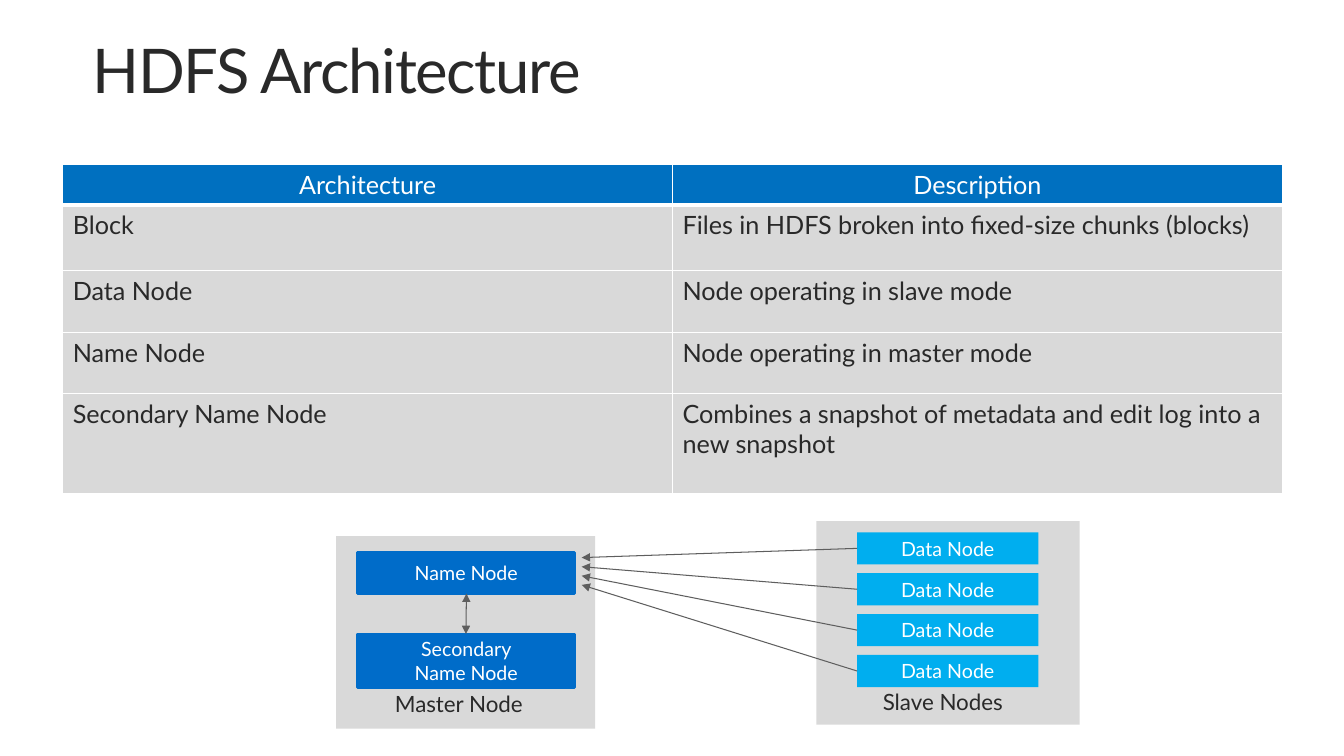
from lxml import etree
from pptx import Presentation
from pptx.dml.color import RGBColor
from pptx.enum import shapes, text
from pptx.oxml import ns
from pptx.util import Pt

WHITE = RGBColor(0xFF, 0xFF, 0xFF)
INK = RGBColor(0x29, 0x29, 0x29)
GREY = RGBColor(0xD9, 0xD9, 0xD9)
ARROW = RGBColor(0x5E, 0x5E, 0x5E)
HEADER = RGBColor(0x00, 0x70, 0xC0)
MASTER = RGBColor(0x00, 0x6C, 0xC9)
SLAVE = RGBColor(0x00, 0xAE, 0xEF)

COMPONENTS = [
    ("Architecture", "Description"),
    ("Block", "Files in HDFS broken into fixed-size chunks (blocks)"),
    ("Data Node", "Node operating in slave mode"),
    ("Name Node", "Node operating in master mode"),
    ("Secondary Name Node",
     "Combines a snapshot of metadata and edit log into a new snapshot"),
]
ROW_HEIGHTS = [28, 46.8, 44, 44, 71.6]


def add_xml(parent, tag, **attributes):
    return etree.SubElement(parent, ns.qn(tag), **attributes)


class SlideBuilder:
    font_name = "Lato"

    def __init__(self, slide):
        self.slide = slide

    def set_text(self, frame, content, size, color, align=text.PP_ALIGN.LEFT):
        frame.word_wrap = True
        frame.text = content
        for paragraph in frame.paragraphs:
            paragraph.alignment = align
            paragraph.font.name = self.font_name
            paragraph.font.size = Pt(size)
            paragraph.font.color.rgb = color

    def title(self, content, left, top, width, height):
        title = self.slide.shapes.title
        title.left, title.top = Pt(left), Pt(top)
        title.width, title.height = Pt(width), Pt(height)
        frame = title.text_frame
        self.set_text(frame, content, 44, INK)
        frame.margin_left = frame.margin_right = 0
        frame.margin_top = frame.margin_bottom = 0
        frame.vertical_anchor = text.MSO_ANCHOR.TOP
        frame.auto_size = text.MSO_AUTO_SIZE.SHAPE_TO_FIT_TEXT
        heading = frame.paragraphs[0]
        heading.line_spacing = 0.9
        heading.runs[0]._r.get_or_add_rPr().set("spc", "-100")

    def block(self, kind, left, top, width, height, fill):
        block = self.slide.shapes.add_shape(
            kind, Pt(left), Pt(top), Pt(width), Pt(height))
        block.shadow.inherit = False
        block.fill.solid()
        block.fill.fore_color.rgb = fill
        block.line.fill.background()
        return block

    def panel(self, left, top, width, height):
        self.block(shapes.MSO_SHAPE.RECTANGLE, left, top, width, height, GREY)

    def node(self, content, left, top, width, height, fill, outline=0):
        node = self.block(shapes.MSO_SHAPE.ROUNDED_RECTANGLE,
                          left, top, width, height, fill)
        node.adjustments[0] = 0
        if outline:
            node.line.color.rgb = fill
            node.line.width = Pt(outline)
        node.text_frame.vertical_anchor = text.MSO_ANCHOR.MIDDLE
        self.set_text(node.text_frame, content, 14, WHITE,
                      text.PP_ALIGN.CENTER)

    def arrow(self, x1, y1, x2, y2, both_ends=False):
        arrow = self.slide.shapes.add_connector(
            shapes.MSO_CONNECTOR.STRAIGHT, Pt(x1), Pt(y1), Pt(x2), Pt(y2))
        arrow.line.color.rgb = ARROW
        arrow.line.width = Pt(0.75)
        line = arrow.line._get_or_add_ln()
        if both_ends:
            add_xml(line, "a:headEnd", type="triangle")
        add_xml(line, "a:tailEnd", type="triangle")
        add_xml(arrow._element.spPr, "a:effectLst")

    def label(self, content, left, top, width, height):
        label = self.slide.shapes.add_textbox(
            Pt(left), Pt(top), Pt(width), Pt(height))
        self.set_text(label.text_frame, content, 16, INK)

    def borders(self, cell, bottom):
        """Draw white cell borders, with the bottom one of the given weight."""
        properties = cell._tc.get_or_add_tcPr()
        weights = {"a:lnL": 1, "a:lnR": 1, "a:lnT": 1, "a:lnB": bottom}
        for position, (tag, weight) in enumerate(weights.items()):
            border = add_xml(properties, tag, w=str(Pt(weight)))
            properties.insert(position, border)
            add_xml(add_xml(border, "a:solidFill"), "a:srgbClr", val=str(WHITE))

    def table(self, rows, heights, left, top, width):
        table = self.slide.shapes.add_table(
            len(rows), len(rows[0]), Pt(left), Pt(top), Pt(width),
            Pt(sum(heights))).table
        for r, (entries, height) in enumerate(zip(rows, heights)):
            table.rows[r].height = Pt(height)
            for c, entry in enumerate(entries):
                cell = table.cell(r, c)
                cell.fill.solid()
                cell.fill.fore_color.rgb = GREY if r else HEADER
                self.borders(cell, 1 if r else 3)
                if r:
                    self.set_text(cell.text_frame, entry, 18, INK)
                else:
                    self.set_text(cell.text_frame, entry, 18, WHITE,
                                  text.PP_ALIGN.CENTER)


def main():
    deck = Presentation()
    deck.slide_width, deck.slide_height = Pt(960), Pt(540)
    page = SlideBuilder(deck.slides.add_slide(deck.slide_layouts[5]))

    page.title("HDFS Architecture", 66.2, 28.8, 878.4, 49)
    page.table(COMPONENTS, ROW_HEIGHTS, 44.8, 117.6, 871.2)

    page.panel(583.2, 372.2, 188, 145.4)
    page.panel(240.2, 383, 185, 137.5)
    page.node("Name Node", 255.6, 394.5, 155, 29.5, MASTER, outline=2)
    page.node("Secondary\nName Node", 255.6, 452.9, 155, 38, MASTER, outline=2)
    page.arrow(333.2, 424, 332.8, 452.9, both_ends=True)

    node_height = 23
    for i in range(4):
        node_top = 380.2 + 29.2 * i
        page.node("Data Node", 612.2, node_top, 129.6, node_height, SLAVE)
        page.arrow(612.2, node_top + node_height / 2, 415.5, 398.3 + 6.5 * i)

    page.label("Master Node", 275, 489.6, 117.4, 32.4)
    page.label("Slave Nodes", 623.5, 488.2, 116.6, 32.4)
    deck.save("out.pptx")


if __name__ == "__main__":
    main()
